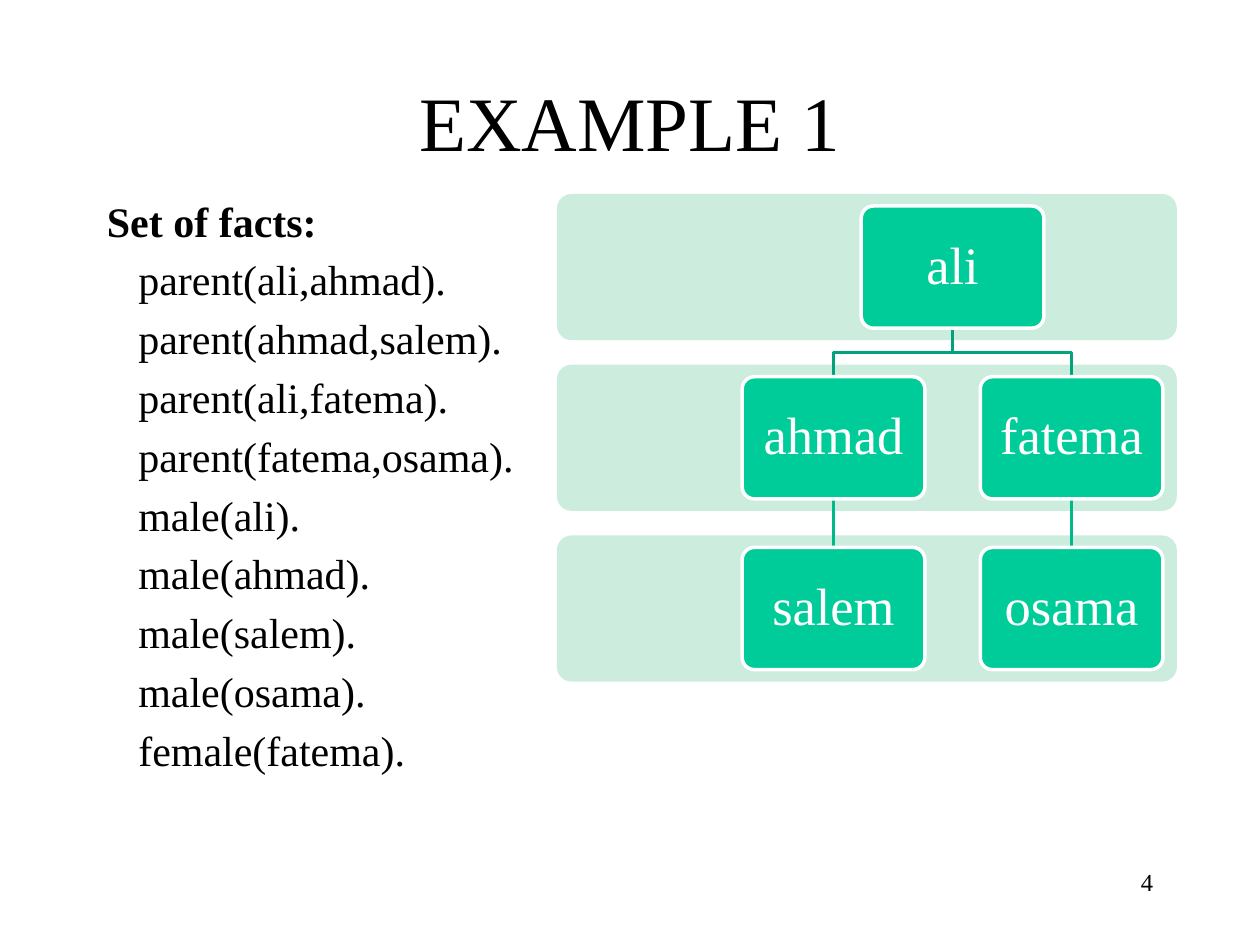
from dataclasses import dataclass

from lxml import etree
from pptx import Presentation
from pptx import util as u
from pptx.dml.color import RGBColor
from pptx.enum import shapes, text
from pptx.oxml.ns import qn


@dataclass(frozen=True)
class Theme:
    font: str = "Times New Roman"
    ink: str = "000000"
    white: str = "FFFFFF"
    band: str = "CCECDE"
    node: str = "00CC99"
    branch: str = "00A37B"
    stem: str = "00B98B"
    title_size: int = 44
    body_size: int = 24
    node_size: int = 30
    number_size: int = 14
    line: int = 2
    corner: float = 0.1


THEME = Theme()
FACTS = [
    "parent(ali,ahmad).", "parent(ahmad,salem).", "parent(ali,fatema).",
    "parent(fatema,osama).", "male(ali).", "male(ahmad).", "male(salem).",
    "male(osama).", "female(fatema).",
]

# Family tree: name -> (column, row), then parent to children
PEOPLE = {"ali": (0.5, 0), "ahmad": (0, 1), "salem": (0, 2),
          "fatema": (1, 1), "osama": (1, 2)}
CHILDREN = {"ali": ["ahmad", "fatema"], "ahmad": ["salem"], "fatema": ["osama"]}

# Tree grid in inches
BAND_LEFT, BAND_TOP, BAND_WIDTH, BAND_HEIGHT = 4.42, 1.54, 4.92, 1.16
NODE_LEFT, NODE_WIDTH, NODE_HEIGHT = 5.89, 1.45, 0.97
COLUMN_STEP, ROW_STEP = 1.89, 1.355
NODE_TOP = BAND_TOP + (BAND_HEIGHT - NODE_HEIGHT) / 2


def colour(value):
    return RGBColor.from_string(value)


def node_corner(name):
    column, row = PEOPLE[name]
    return NODE_LEFT + column * COLUMN_STEP, NODE_TOP + row * ROW_STEP


def style_text(para, size, ink, align, bold=False):
    para.alignment = align
    for span in para.runs:
        span.font.name = THEME.font
        span.font.size = u.Pt(size)
        span.font.bold = bold
        span.font.color.rgb = colour(ink)


def add_text(page, area, lines, size, align, anchor=text.MSO_ANCHOR.TOP):
    box = page.shapes.add_textbox(*map(u.Inches, area))
    frame = box.text_frame
    frame.word_wrap = True
    frame.vertical_anchor = anchor
    frame.text = "\n".join(lines)
    for para in frame.paragraphs:
        style_text(para, size, THEME.ink, align)
    return frame


def add_facts(page):
    frame = add_text(page, (0.75, 1.5, 8.5, 5.83), ["Set of facts:"] + FACTS,
                     THEME.body_size, text.PP_ALIGN.LEFT)
    heading, *facts = frame.paragraphs
    heading.runs[0].font.bold = True
    for para in frame.paragraphs:
        para.space_before = u.Pt(0.2 * THEME.body_size)
    for para in facts:
        para._p.get_or_add_pPr().set("marL", str(u.Inches(0.25)))


def add_rounded(page, area, fill):
    box = page.shapes.add_shape(shapes.MSO_SHAPE.ROUNDED_RECTANGLE,
                                *map(u.Inches, area))
    box.shadow.inherit = False
    box.adjustments[0] = THEME.corner
    box.fill.solid()
    box.fill.fore_color.rgb = colour(fill)
    box.line.fill.background()
    return box


def style_line(line, ink):
    line.color.rgb = colour(ink)
    line.width = u.Pt(THEME.line)


def add_node(page, name):
    box = add_rounded(page, (*node_corner(name), NODE_WIDTH, NODE_HEIGHT), THEME.node)
    style_line(box.line, THEME.white)
    frame = box.text_frame
    frame.margin_left = frame.margin_right = u.Inches(0.12)
    frame.margin_top = frame.margin_bottom = u.Inches(0.12)
    frame.word_wrap = True
    frame.vertical_anchor = text.MSO_ANCHOR.MIDDLE
    frame.text = name
    para = frame.paragraphs[0]
    para.line_spacing = 0.9
    style_text(para, THEME.node_size, THEME.white, text.PP_ALIGN.CENTER)


def add_link(page, parent, child):
    (start, top), (end, bottom) = node_corner(parent), node_corner(child)
    start, end, top, bottom = map(u.Inches, (
        start + NODE_WIDTH / 2, end + NODE_WIDTH / 2, top + NODE_HEIGHT, bottom))
    if start == end:
        link = page.shapes.add_connector(
            shapes.MSO_CONNECTOR.STRAIGHT, start, top, end, bottom)
        etree.SubElement(link._element.spPr, qn("a:effectLst"))
        style_line(link.line, THEME.stem)
        return
    # Freeform points are whole EMU, since they are rounded to integers
    middle = (top + bottom) // 2
    builder = page.shapes.build_freeform(start, top)
    builder.add_line_segments(
        [(start, middle), (end, middle), (end, bottom)], close=False)
    link = builder.convert_to_shape()
    link.shadow.inherit = False
    link.fill.background()
    style_line(link.line, THEME.branch)


def add_tree(page):
    # Generation bands
    for row in range(3):
        add_rounded(page, (BAND_LEFT, BAND_TOP + row * ROW_STEP,
                           BAND_WIDTH, BAND_HEIGHT), THEME.band)
    # Links lie behind the nodes
    for parent, children in CHILDREN.items():
        for child in children:
            add_link(page, parent, child)
    for name in PEOPLE:
        add_node(page, name)


def main():
    deck = Presentation()
    deck.slide_width, deck.slide_height = u.Inches(10), u.Inches(7.5)
    page = deck.slides.add_slide(deck.slide_layouts[6])
    # Title, facts and page number
    add_text(page, (0.75, 0.33, 8.5, 1.25), ["EXAMPLE 1"], THEME.title_size,
             text.PP_ALIGN.CENTER, text.MSO_ANCHOR.MIDDLE)
    add_facts(page)
    add_text(page, (7.17, 6.83, 2.08, 0.5), ["4"], THEME.number_size,
             text.PP_ALIGN.RIGHT)
    # Family tree
    add_tree(page)
    deck.save("out.pptx")


main()
